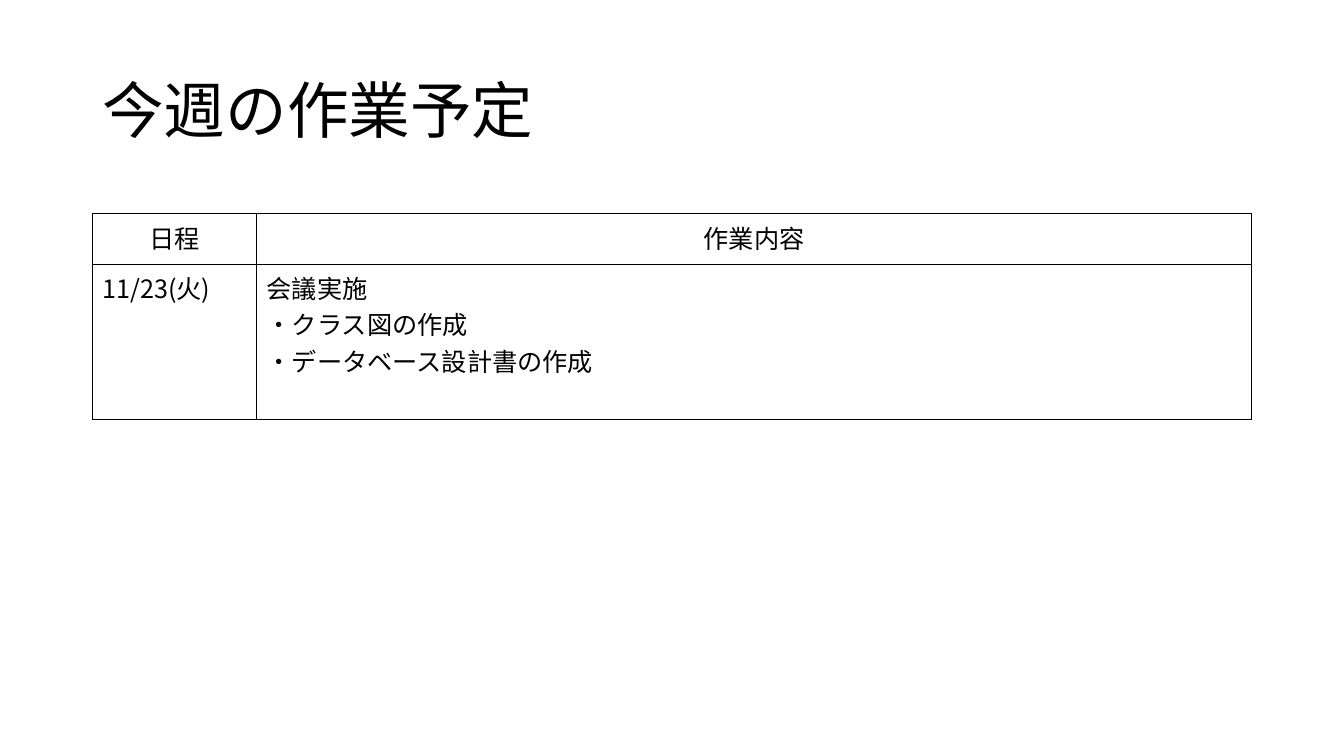
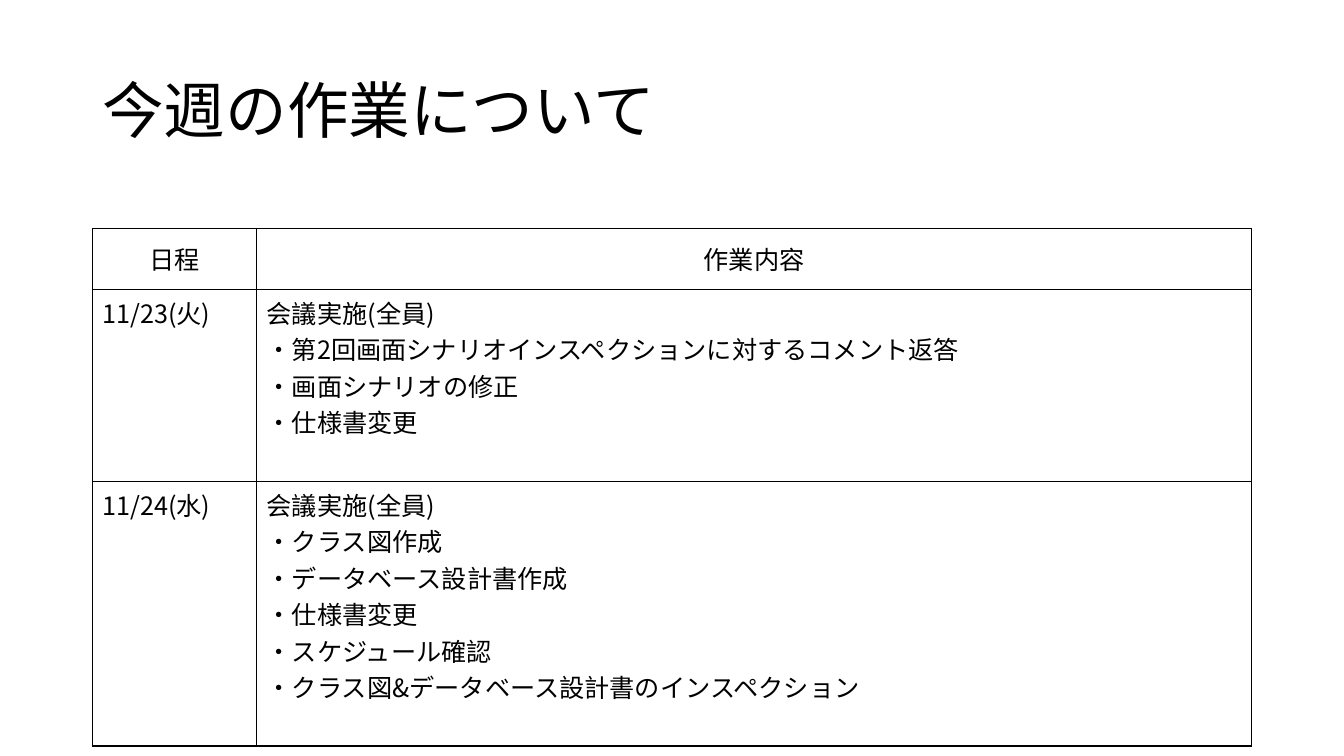
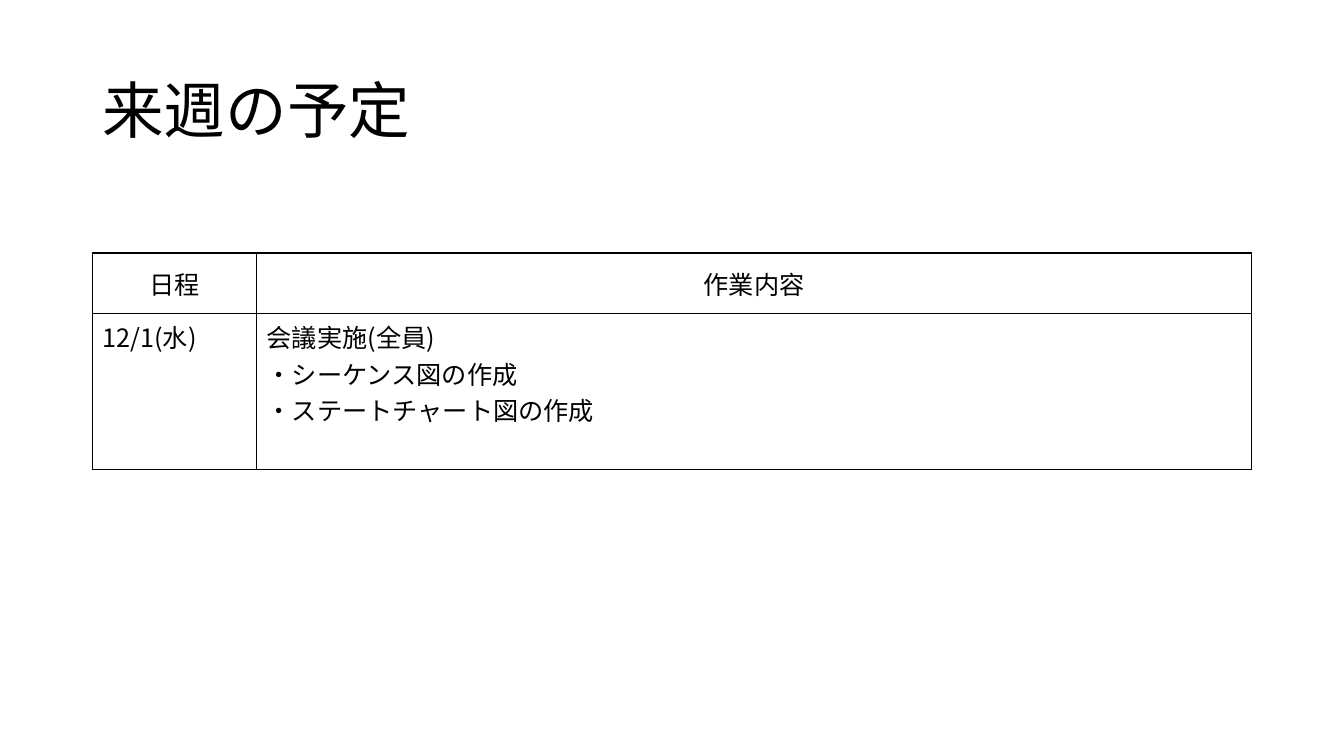
"""Build three weekly work-schedule slides, each with a title and a table."""
from dataclasses import dataclass

from lxml.etree import SubElement
from pptx import Presentation
from pptx.dml.color import RGBColor
from pptx.enum.text import MSO_ANCHOR as Anchor, PP_ALIGN as Align
from pptx.oxml.ns import qn
from pptx.slide import Slide
from pptx.table import _Cell as Cell
from pptx.text.text import _Paragraph as Paragraph
from pptx.util import Pt

BLACK = RGBColor(0, 0, 0)
WHITE = RGBColor(255, 255, 255)
FONT = "Noto Sans CJK JP"
TITLE_SIZE = 44
TABLE_SIZE = 18
LEFT = 66
WIDTH = 828
TITLE_TOP = 28.8
TITLE_HEIGHT = 104.4
COLUMN_WIDTHS = (117.4, 710.6)
HEADINGS = ("日程", "作業内容")
LINE_HEIGHT = 26
CELL_MARGINS = 7.2


@dataclass(frozen=True)
class WorkDay:
    date: str
    heading: str
    tasks: tuple[str, ...]

    @property
    def text(self) -> str:
        return "\n".join([self.heading, *(f"・{task}" for task in self.tasks)])

    @property
    def height(self) -> float:
        return (len(self.tasks) + 2) * LINE_HEIGHT + CELL_MARGINS


@dataclass(frozen=True)
class Schedule:
    title: str
    top: float
    header_height: float
    header_anchor: Anchor
    days: tuple[WorkDay, ...]


SCHEDULES = (
    Schedule("今週の作業予定", 152.7, 36, Anchor.TOP, (
        WorkDay("11/23(火)", "会議実施", ("クラス図の作成", "データベース設計書の作成")),
    )),
    Schedule("今週の作業について", 163.3, 43.2, Anchor.MIDDLE, (
        WorkDay("11/23(火)", "会議実施(全員)", (
            "第2回画面シナリオインスペクションに対するコメント返答",
            "画面シナリオの修正",
            "仕様書変更",
        )),
        WorkDay("11/24(水)", "会議実施(全員)", (
            "クラス図作成",
            "データベース設計書作成",
            "仕様書変更",
            "スケジュール確認",
            "クラス図&データベース設計書のインスペクション",
        )),
    )),
    Schedule("来週の予定", 180.7, 43.2, Anchor.MIDDLE, (
        WorkDay("12/1(水)", "会議実施(全員)", ("シーケンス図の作成", "ステートチャート図の作成")),
    )),
)


def style_paragraph(paragraph: Paragraph, size: float) -> None:
    font = paragraph.font
    font.size = Pt(size)
    font.name = FONT
    font.color.rgb = BLACK
    defaults = paragraph._p.pPr.find(qn("a:defRPr"))
    SubElement(defaults, qn("a:ea"), typeface=FONT)


def add_borders(cell: Cell) -> None:
    properties = cell._tc.get_or_add_tcPr()
    for side in ("lnL", "lnR", "lnT", "lnB"):
        line = SubElement(properties, qn(f"a:{side}"), w=str(Pt(1)))
        fill = SubElement(line, qn("a:solidFill"))
        SubElement(fill, qn("a:srgbClr"), val=str(BLACK))


def fill_cell(cell: Cell, text: str, align: Align, anchor: Anchor) -> None:
    add_borders(cell)
    cell.fill.solid()
    cell.fill.fore_color.rgb = WHITE
    cell.vertical_anchor = anchor
    cell.text = text
    for paragraph in cell.text_frame.paragraphs:
        paragraph.alignment = align
        style_paragraph(paragraph, TABLE_SIZE)


def add_title(slide: Slide, title: str) -> None:
    shape = slide.shapes.add_textbox(Pt(LEFT), Pt(TITLE_TOP), Pt(WIDTH), Pt(TITLE_HEIGHT))
    frame = shape.text_frame
    frame.word_wrap = True
    frame.vertical_anchor = Anchor.MIDDLE
    paragraph = frame.paragraphs[0]
    paragraph.text = title
    paragraph.line_spacing = 0.9
    style_paragraph(paragraph, TITLE_SIZE)


def add_schedule_table(slide: Slide, schedule: Schedule) -> None:
    heights = [schedule.header_height, *(day.height for day in schedule.days)]
    table = slide.shapes.add_table(
        len(heights), len(COLUMN_WIDTHS),
        Pt(LEFT), Pt(schedule.top), Pt(WIDTH), Pt(sum(heights)),
    ).table
    table.first_row = False
    table.horz_banding = False
    for column, width in zip(table.columns, COLUMN_WIDTHS):
        column.width = Pt(width)
    for row, height in zip(table.rows, heights):
        row.height = Pt(height)
    for index, heading in enumerate(HEADINGS):
        fill_cell(table.cell(0, index), heading, Align.CENTER, schedule.header_anchor)
    for row_index, day in enumerate(schedule.days, start=1):
        for index, text in enumerate((day.date, day.text)):
            fill_cell(table.cell(row_index, index), text, Align.LEFT, Anchor.TOP)


def main() -> None:
    presentation = Presentation()
    presentation.slide_width = Pt(960)
    presentation.slide_height = Pt(540)
    blank_layout = presentation.slide_layouts[6]
    for schedule in SCHEDULES:
        slide = presentation.slides.add_slide(blank_layout)
        add_title(slide, schedule.title)
        add_schedule_table(slide, schedule)
    presentation.save("out.pptx")


main()
